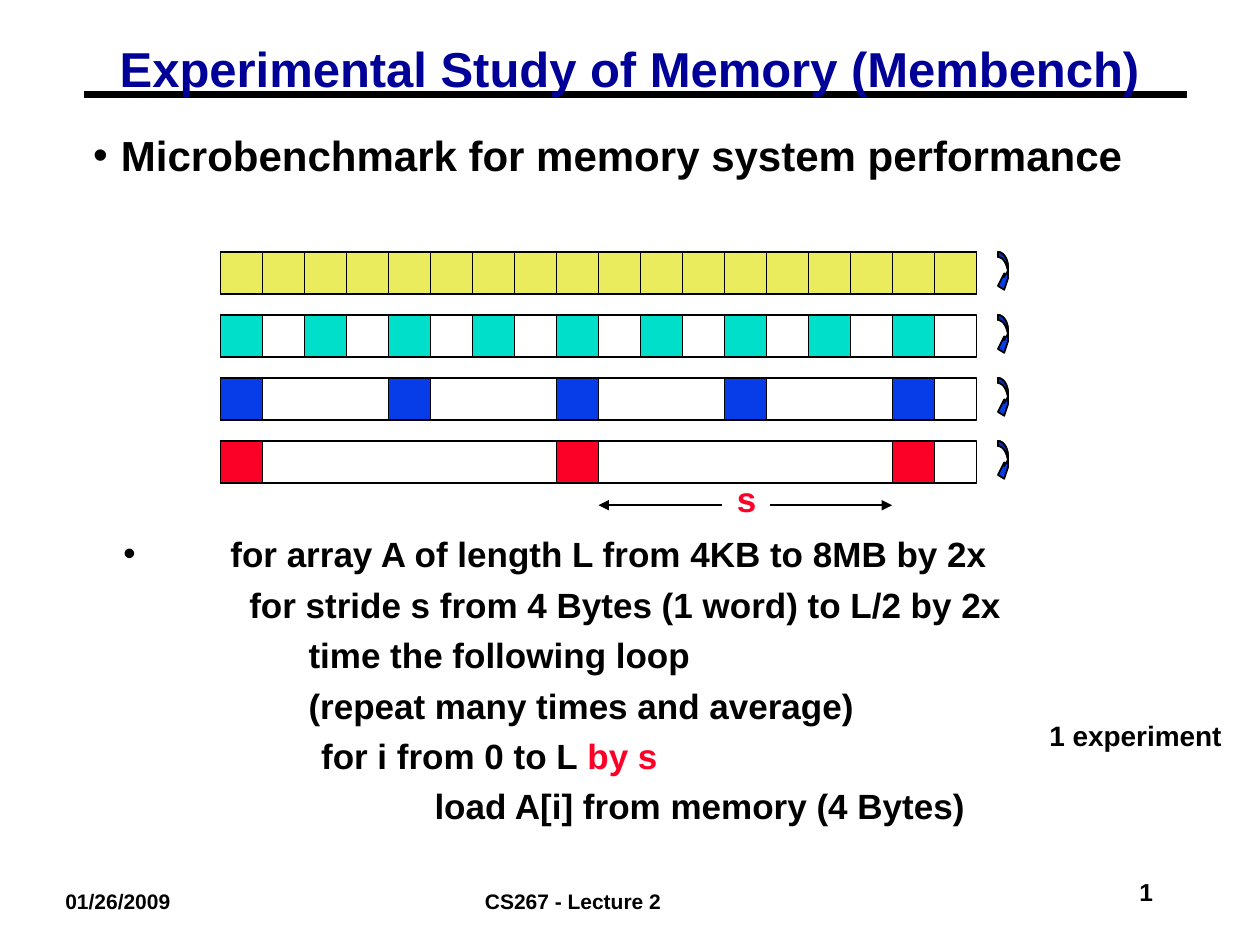
from dataclasses import dataclass

from lxml import etree
from pptx import Presentation
from pptx.dml.color import RGBColor
from pptx.enum.shapes import MSO_CONNECTOR, MSO_SHAPE
from pptx.enum.text import MSO_ANCHOR, MSO_AUTO_SIZE, PP_ALIGN
from pptx.oxml.ns import qn
from pptx.util import Inches, Pt

LINE = MSO_CONNECTOR.STRAIGHT
RECT = MSO_SHAPE.RECTANGLE
LEFT, RIGHT = PP_ALIGN.LEFT, PP_ALIGN.RIGHT
TOP, MIDDLE = MSO_ANCHOR.TOP, MSO_ANCHOR.MIDDLE

BLACK = RGBColor(0x00, 0x00, 0x00)
WHITE = RGBColor(0xFF, 0xFF, 0xFF)
NAVY = RGBColor(0x00, 0x00, 0x99)
YELLOW = RGBColor(0xEA, 0xEC, 0x5E)
TEAL = RGBColor(0x00, 0xDF, 0xCA)
BLUE = RGBColor(0x06, 0x3D, 0xE8)
DARK = RGBColor(0x05, 0x31, 0xBA)
RED = RGBColor(0xFC, 0x01, 0x28)

CELL = 1 / 3
COUNT = 18
GRID_X = 1.75
LOOP_X = 7.92


@dataclass
class Run:
    text: str
    color: RGBColor = BLACK


@dataclass
class Para:
    runs: list[Run]
    size: float
    indent: float = 0
    before: float = 0
    bullet: bool = False
    align: PP_ALIGN = LEFT


@dataclass
class Row:
    top: float
    step: int
    color: RGBColor


ROWS = [Row(2, 1, YELLOW), Row(2.5, 2, TEAL), Row(3, 4, BLUE), Row(3.5, 8, RED)]

CODE = [
    Para([Run("for array A of length L from 4KB to 8MB by 2x")], 20, 0.85, 1.3, True),
    Para([Run("for stride s from 4 Bytes (1 word) to L/2 by 2x")], 20, 1, 4.8),
    Para([Run("time the following loop")], 20, 1.47, 4.8),
    Para([Run("(repeat many times and average)")], 20, 1.47, 4.8),
    Para([Run("for i from 0 to L "), Run("by s", RED)], 20, 1.57, 4.8),
    Para([Run("load A[i] from memory (4 Bytes)")], 20, 2.47, 4.8),
]


def write(shape, paras: list[Para], pad=(0.1, 0.05), anchor=TOP, wrap=True) -> None:
    frame = shape.text_frame
    frame.word_wrap = wrap
    frame.auto_size = MSO_AUTO_SIZE.NONE
    frame.vertical_anchor = anchor
    frame.margin_left = frame.margin_right = Inches(pad[0])
    frame.margin_top = frame.margin_bottom = Inches(pad[1])
    for i, item in enumerate(paras):
        para = frame.paragraphs[0] if i == 0 else frame.add_paragraph()
        para.alignment = item.align
        para.space_before = Pt(item.before)
        props = para._p.get_or_add_pPr()
        props.set("marL", str(Inches(item.indent)))
        props.set("indent", str(-Inches(item.indent) if item.bullet else 0))
        if item.bullet:
            font = etree.SubElement(props, qn("a:buFont"))
            font.set("typeface", "Arial")
            etree.SubElement(props, qn("a:buChar")).set("char", "•")
        for part in item.runs:
            run = para.add_run()
            run.text = part.text
            run.font.name = "Arial"
            run.font.size = Pt(item.size)
            run.font.bold = True
            run.font.color.rgb = part.color


def add_text(slide, box, paras: list[Para], **opts) -> None:
    write(slide.shapes.add_textbox(*map(Inches, box)), paras, **opts)


def paint(shape, fill: RGBColor | None, edge: RGBColor | None = BLACK) -> None:
    shape.shadow.inherit = False
    if fill is None:
        shape.fill.background()
    else:
        shape.fill.solid()
        shape.fill.fore_color.rgb = fill
    if edge is None:
        shape.line.fill.background()
    else:
        shape.line.color.rgb = edge
        shape.line.width = Pt(1)


def add_rect(slide, box, fill, edge=BLACK):
    shape = slide.shapes.add_shape(RECT, *map(Inches, box))
    paint(shape, fill, edge)
    return shape


def add_line(slide, x1: float, x2: float, y: float, width: float, arrow=False):
    line = slide.shapes.add_connector(LINE, Inches(x1), Inches(y), Inches(x2), Inches(y))
    line.line.color.rgb = BLACK
    line.line.width = Pt(width)
    if arrow:
        tip = etree.SubElement(line.line._get_or_add_ln(), qn("a:tailEnd"))
        tip.set("type", "triangle")
    etree.SubElement(line.element.spPr, qn("a:effectLst"))
    return line


def curve(a, b, c, d, steps=8):
    """Points along a cubic Bezier curve."""
    spots = []
    for i in range(steps + 1):
        t = i / steps
        u = 1 - t
        spots.append(tuple(
            u**3 * p + 3 * u * u * t * q + 3 * u * t * t * r + t**3 * s
            for p, q, r, s in zip(a, b, c, d)
        ))
    return spots


def add_loop(slide, top: float) -> None:
    outer = curve((0, 0), (0.04, 0), (0.08, 0.05), (0.08, 0.12))
    inner = curve((0.08, 0.15), (0.07, 0.09), (0.04, 0.04), (0, 0.04))
    head = [(0.08, 0.21), (0.05, 0.3), (0, 0.27), (0.05, 0.17), (0.05, 0.2), (0.06, 0.18)]
    for points, fill in ((outer + head + inner, BLUE), (outer + [(0.08, 0.17)] + inner, DARK)):
        spots = [(Inches(LOOP_X + x), Inches(top + y)) for x, y in points]
        path = slide.shapes.build_freeform(*spots[0], scale=1.0)
        path.add_line_segments(spots[1:], close=True)
        paint(path.convert_to_shape(), fill)


def add_row(slide, row: Row) -> None:
    add_rect(slide, (GRID_X, row.top, COUNT * CELL, CELL), None)
    for i in range(0, COUNT, row.step):
        add_rect(slide, (GRID_X + i * CELL, row.top, CELL, CELL), row.color)
    add_loop(slide, row.top)


def main() -> None:
    deck = Presentation()
    deck.slide_width, deck.slide_height = Inches(10), Inches(7.5)
    slide = deck.slides.add_slide(deck.slide_layouts[5])

    # Title over its rule
    title = slide.shapes.title
    title.left, title.top = Inches(0.88), Inches(0.34)
    title.width, title.height = Inches(8.25), Inches(0.46)
    head = Para([Run("Experimental Study of Memory (Membench)", NAVY)], 28)
    write(title, [head], pad=(0.07, 0.03))
    title.text_frame.paragraphs[0].line_spacing = 0.87
    rule = add_line(slide, 0.67, 9.42, 0.75, 3.75)
    title.element.addprevious(rule.element)

    # Lead bullet
    lead = Para([Run("Microbenchmark for memory system performance")], 24, 0.22, 2, True)
    add_text(slide, (0.67, 1, 8.6, 0.46), [lead], pad=(0.07, 0.03))

    # Arrays by stride
    for row in ROWS:
        add_row(slide, row)

    # Loop code
    write(add_rect(slide, (0.88, 4.18, 8.38, 2.36), WHITE, None), CODE)

    # Stride mark
    add_text(slide, (5.75, 3.74, 0.35, 0.44), [Para([Run("s", RED)], 20)], wrap=False)
    add_line(slide, 6.11, 7.08, 4.01, 1, True)
    add_line(slide, 5.73, 4.75, 4.01, 1, True)

    # Side note and footer
    add_text(slide, (8.23, 5.65, 1.77, 0.37), [Para([Run("1 experiment")], 16)])
    for x, text in ((0.42, "01/26/2009"), (3.75, "CS267 - Lecture 2")):
        add_text(slide, (x, 7, 1.92, 0.3), [Para([Run(text)], 12)])
    page = Para([Run("1")], 14, align=RIGHT)
    add_text(slide, (7.17, 6.83, 2.08, 0.5), [page], anchor=MIDDLE)

    deck.save("out.pptx")


if __name__ == "__main__":
    main()
